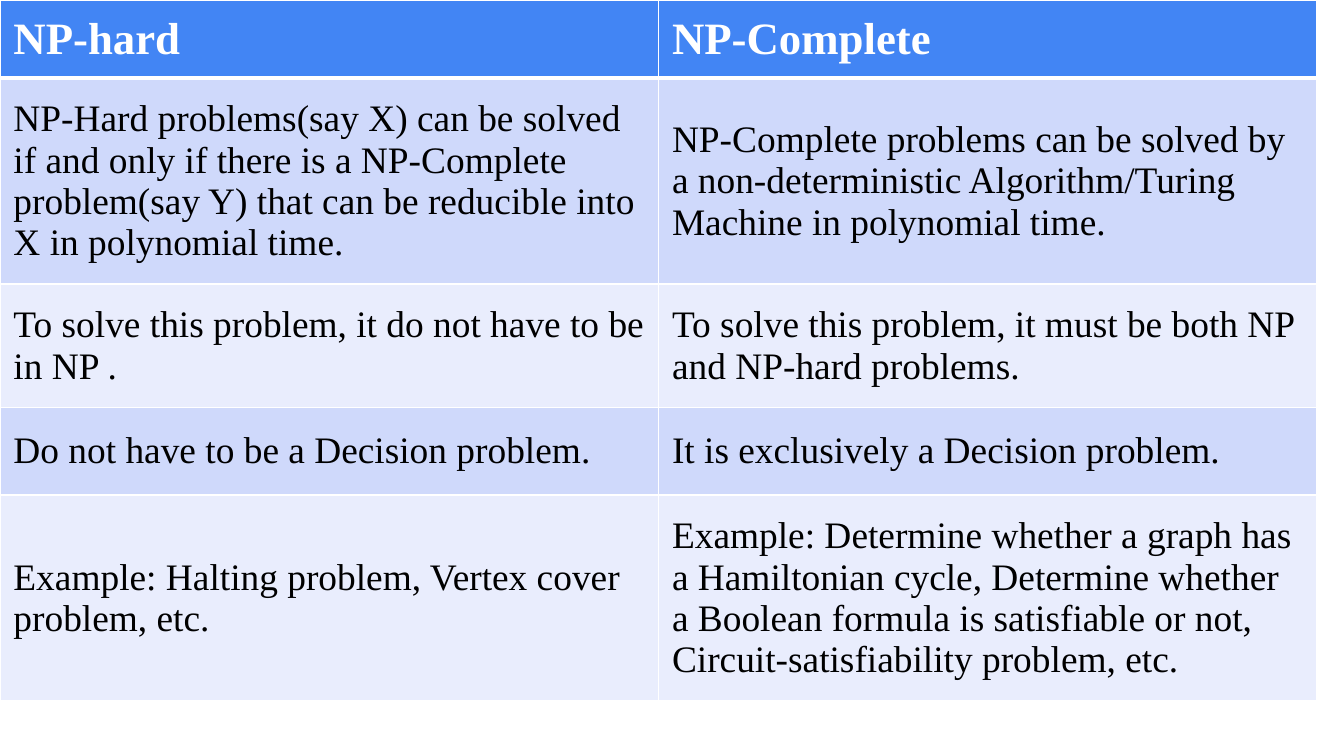
from lxml import etree
from pptx import Presentation
from pptx.dml.color import RGBColor
from pptx.enum import text
from pptx.oxml import ns
from pptx.util import Pt

FONT = "Times New Roman"
WHITE, BLACK = "FFFFFF", "000000"
HEADER_FILL = "4285F4"
BAND_FILLS = ("E9EDFD", "CFD9FB")
ROW_HEIGHTS = (41.8, 105.8, 66.2, 46.8, 105.8)
ROWS = (
    ("NP-hard", "NP-Complete"),
    ("NP-Hard problems(say X) can be solved if and only if there is a NP-Complete "
     "problem(say Y) that can be reducible into X in polynomial time.",
     "NP-Complete problems can be solved by a non-deterministic Algorithm/Turing "
     "Machine in polynomial time."),
    ("To solve this problem, it do not have to be in NP .",
     "To solve this problem, it must be both NP and NP-hard problems."),
    ("Do not have to be a Decision problem.",
     "It is exclusively a Decision problem."),
    ("Example: Halting problem, Vertex cover problem, etc.",
     "Example: Determine whether a graph has a Hamiltonian cycle, Determine whether "
     "a Boolean formula is satisfiable or not, Circuit-satisfiability problem, etc."),
)


def color(value):
    """Return the colour of a hex string."""
    return RGBColor.from_string(value)


def set_borders(cell, top, bottom):
    """Draw white borders around a cell, with the given top and bottom widths."""
    properties = cell._tc.get_or_add_tcPr()
    for side, width in (("L", 1), ("R", 1), ("T", top), ("B", bottom)):
        line = etree.SubElement(properties, ns.qn(f"a:ln{side}"), w=str(Pt(width)))
        fill = etree.SubElement(line, ns.qn("a:solidFill"))
        etree.SubElement(fill, ns.qn("a:srgbClr"), val=WHITE)


def fill_cell(cell, words, row):
    """Write and style one cell as a heading or as banded body text."""
    heading = row == 0
    set_borders(cell, 3 if row == 1 else 1, 3 if heading else 1)
    cell.fill.solid()
    cell.fill.fore_color.rgb = color(HEADER_FILL if heading else BAND_FILLS[row % 2])
    cell.vertical_anchor = text.MSO_ANCHOR.MIDDLE
    cell.margin_left = cell.margin_right = Pt(7.2)
    cell.margin_top = cell.margin_bottom = Pt(7.2 if heading else 10.8)
    cell.text = words
    font = cell.text_frame.paragraphs[0].font
    font.name = FONT
    font.size = Pt(24 if heading else 20)
    font.bold = heading
    font.color.rgb = color(WHITE if heading else BLACK)


def add_comparison(page, left, top, width, height):
    """Place the comparison table in the given box."""
    columns = len(ROWS[0])
    frame = page.shapes.add_table(
        len(ROWS), columns, Pt(left), Pt(top), Pt(width), Pt(height))
    table = frame.table
    for column in table.columns:
        column.width = Pt(width / columns)
    for row, (words, row_height) in enumerate(zip(ROWS, ROW_HEIGHTS)):
        table.rows[row].height = Pt(row_height)
        for column, sentence in enumerate(words):
            fill_cell(table.cell(row, column), sentence, row)
    frame.height = Pt(height)


def main():
    """Build and save the deck."""
    deck = Presentation()
    deck.slide_width, deck.slide_height = Pt(720), Pt(405)
    page = deck.slides.add_slide(deck.slide_layouts[6])
    add_comparison(page, 0, 0, 705.6, 393.8)
    deck.save("out.pptx")


if __name__ == "__main__":
    main()
